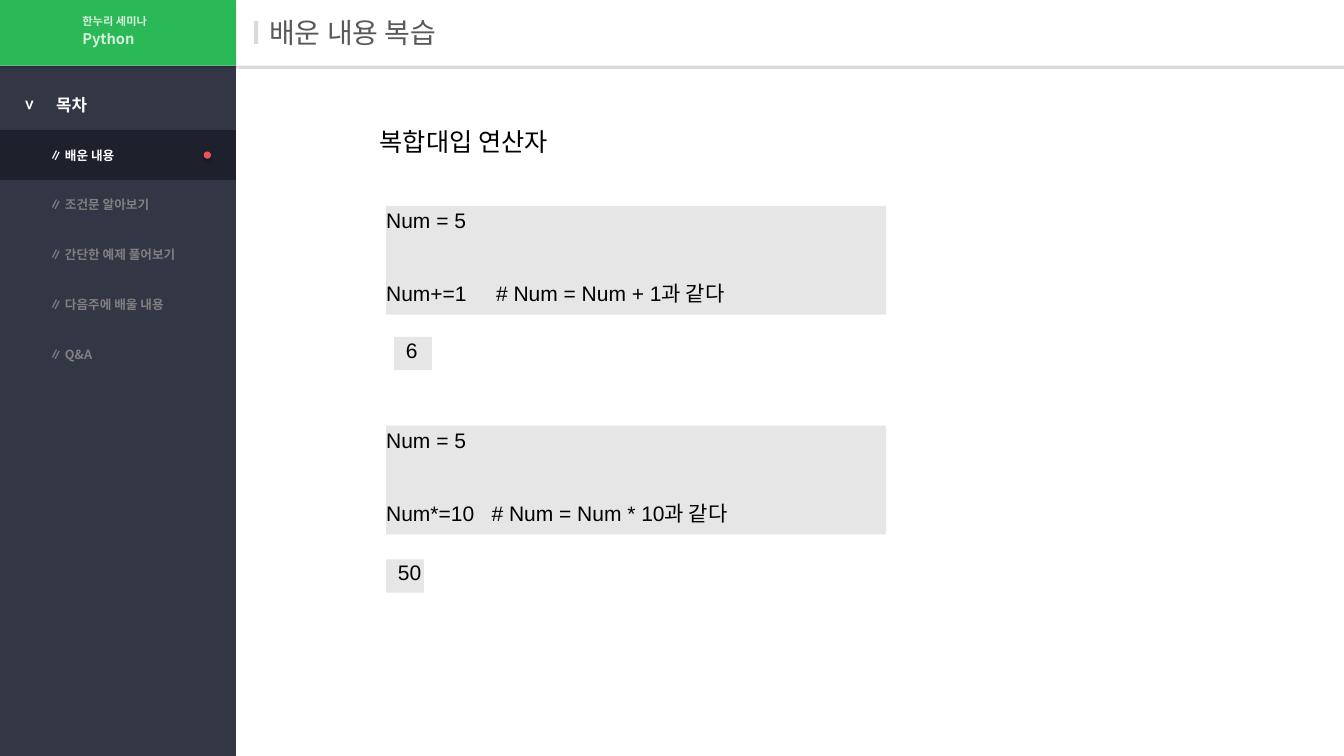
from lxml import etree
from pptx import Presentation
from pptx.dml.color import RGBColor
from pptx.enum import shapes, text
from pptx.oxml import ns
from pptx.util import Pt

COLORS = {
    "white": "FFFFFF", "black": "000000", "navy": "333645", "active": "1E202C",
    "green": "2BB957", "rule": "D9D9D9", "title": "595959", "muted": "808080",
    "dot": "EC5353", "code": "E7E6E6",
}
KOREAN, LATIN = "Noto Sans CJK KR", "Arial"
WIDTH, HEIGHT = 960, 540
SIDEBAR, HEADER = 168.5, 47
MENU_TOP, MENU_STEP = 93, 35.6
MENU = ["배운 내용", "조건문 알아보기", "간단한 예제 풀어보기", "다음주에 배울 내용", "Q&A"]


def add_child(parent, tag, **attributes):
    """Append a drawing element with the given attributes."""
    child = etree.SubElement(parent, ns.qn(tag))
    for name, value in attributes.items():
        child.set(name, str(value))
    return child


def add_shadow(box, size, opacity):
    """Drop a soft black shadow straight down, size in points."""
    effects = box._element.spPr.find(ns.qn("a:effectLst"))
    length = int(Pt(size))
    shadow = add_child(effects, "a:outerShdw", blurRad=length, dist=length,
                       dir=5400000, algn="t", rotWithShape=0)
    tint = add_child(shadow, "a:srgbClr", val=COLORS["black"])
    add_child(tint, "a:alpha", val=opacity * 1000)


def add_block(page, left, top, width, height, color, kind=shapes.MSO_SHAPE.RECTANGLE):
    box = page.shapes.add_shape(kind, Pt(left), Pt(top), Pt(width), Pt(height))
    box.shadow.inherit = False
    box.fill.solid()
    box.fill.fore_color.rgb = RGBColor.from_string(COLORS[color])
    box.line.fill.background()
    return box


def add_label(page, left, top, width, height, words, **style):
    box = page.shapes.add_textbox(Pt(left), Pt(top), Pt(width), Pt(height))
    write(box, words, **style)
    return box


def write(box, words, size, color="black", font=KOREAN, bold=False, opacity=100,
          margins=(7.2, 3.6, 7.2, 3.6), middle=False, wrap=True,
          gap=0, tab=None, line=None):
    """Fill a box with one paragraph for each line of words."""
    frame = box.text_frame
    frame.word_wrap = wrap
    frame.vertical_anchor = text.MSO_ANCHOR.MIDDLE if middle else text.MSO_ANCHOR.TOP
    (frame.margin_left, frame.margin_top,
     frame.margin_right, frame.margin_bottom) = map(Pt, margins)
    for index, sentence in enumerate(words.split("\n")):
        para = frame.add_paragraph() if index else frame.paragraphs[0]
        para.alignment = text.PP_ALIGN.LEFT
        if index:
            para.space_before = Pt(gap)
        if line:
            para.line_spacing = line
        if tab:
            stops = add_child(para._p.get_or_add_pPr(), "a:tabLst")
            add_child(stops, "a:tab", pos=int(Pt(tab)), algn="l")
        span = para.add_run()
        span.text = sentence
        span.font.size = Pt(size)
        span.font.bold = bold
        span.font.name = font
        span.font.color.rgb = RGBColor.from_string(COLORS[color])
        add_child(span._r.rPr, "a:ea", typeface=KOREAN)
        if opacity < 100:
            tint = span._r.rPr.find(".//" + ns.qn("a:srgbClr"))
            add_child(tint, "a:alpha", val=opacity * 1000)


def add_header(page, left, width, title):
    bar = add_block(page, left, 0, width, HEADER, "white")
    add_shadow(bar, 1, 15)
    marker = shapes.MSO_SHAPE.ROUNDED_RECTANGLE
    add_block(page, left + 13, 15, 2.9, 16.5, "rule", marker)
    add_label(page, left + 10.8, 9.4, width - 26, 27.4, title, size=20,
              color="title", margins=(13, 3.6, 7.2, 3.6), middle=True)


def add_sidebar(page, width, active):
    add_block(page, 0, HEADER, width, HEIGHT - HEADER, "navy")
    badge = add_block(page, 0, 0, width, HEADER, "green")
    add_shadow(badge, 1, 15)
    faded = dict(color="white", bold=True, opacity=80, line=0.9)
    add_label(page, 51.8, 19.4, 105, 19.4, "Python", size=10.5, **faded)
    add_label(page, 51.8, 7.9, 105, 16.6, "한누리 세미나", size=8, **faded)

    heading = dict(size=12, color="white", bold=True, wrap=False)
    add_label(page, 33, 64, 39, 21.8, "목차", **heading)
    arrow = add_label(page, 11.3, 64, 20, 21.8, ">", **heading)
    arrow.rotation = 90

    for index, topic in enumerate(MENU):
        chosen = index == active
        top = MENU_TOP + index * MENU_STEP
        item = add_block(page, 0, top, width, MENU_STEP, "active" if chosen else "navy")
        write(item, "∥ " + topic, size=9, color="white" if chosen else "muted",
              bold=True, margins=(35.4, 3.6, 7.2, 3.6), middle=True)
        if chosen:
            dot = add_block(page, width - 23, top + MENU_STEP / 2 - 2.6, 5.2, 5.2,
                            "dot", shapes.MSO_SHAPE.OVAL)
            add_shadow(dot, 2, 20)


def add_example(page, left, top, code, tab, result, shift, drop):
    """Place a code block and, below it, the value it gives."""
    block = add_block(page, left, top, 357.2, 77.8, "code")
    write(block, code, size=15, font=LATIN, margins=(0, 0, 0, 5),
          middle=True, gap=34.5, tab=tab)
    answer = add_block(page, left + shift, top + drop, 27, 23.8, "code")
    write(answer, result, size=15, font=LATIN, margins=(8.4, 0, 0, 5),
          middle=True, wrap=False)


def main():
    deck = Presentation()
    deck.slide_width, deck.slide_height = Pt(WIDTH), Pt(HEIGHT)
    page = deck.slides.add_slide(deck.slide_layouts[6])
    add_header(page, SIDEBAR, WIDTH - SIDEBAR, "배운 내용 복습")
    add_sidebar(page, SIDEBAR, active=0)
    add_label(page, 264.2, 87, 306.7, 29, "복합대입 연산자", size=18)
    add_example(page, 275.8, 147, "Num = 5\nNum+=1\t# Num = Num + 1과 같다",
                tab=78.5, result="6", shift=5.7, drop=93.6)
    add_example(page, 275.8, 304, "Num = 5\nNum*=10\t# Num = Num * 10과 같다",
                tab=75.3, result="50", shift=0, drop=95.6)
    deck.save("out.pptx")


if __name__ == "__main__":
    main()
